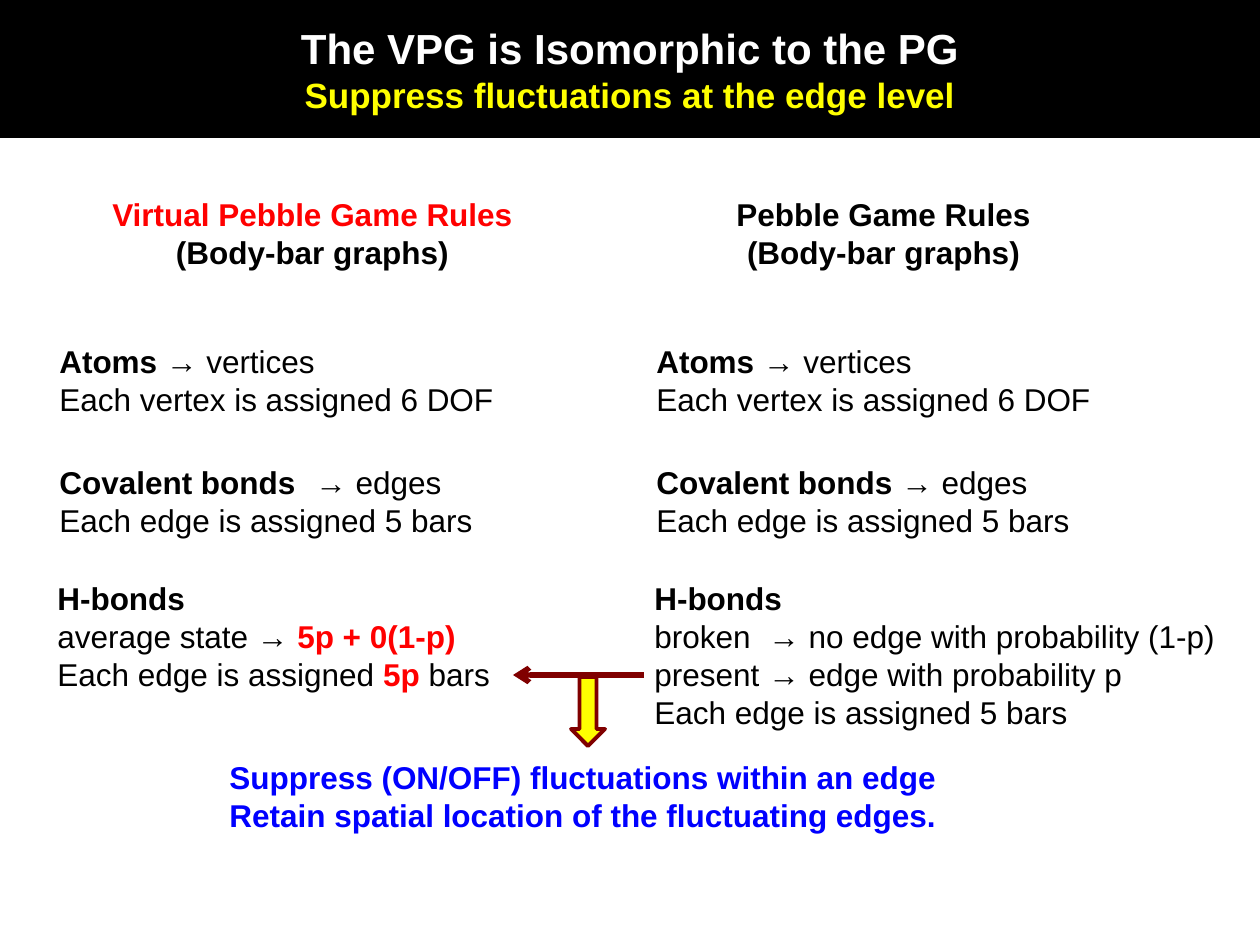
from dataclasses import dataclass

import pptx
import pptx.dml.color
import pptx.enum.shapes
import pptx.enum.text
import pptx.oxml.ns
import pptx.util
from lxml import etree

EMU_PER_PX = 914400 / 126
ALIGN = pptx.enum.text.PP_ALIGN


@dataclass(frozen=True)
class Theme:
    font: str = "Arial"
    title_size: int = 24
    subtitle_size: int = 20
    body_size: int = 18
    black: str = "000000"
    white: str = "FFFFFF"
    yellow: str = "FFFF00"
    red: str = "FF0000"
    blue: str = "0000FF"
    maroon: str = "800000"


THEME = Theme()


def px(length):
    return pptx.util.Emu(round(length * EMU_PER_PX))


def rgb(value):
    return pptx.dml.color.RGBColor.from_string(value)


def styled(text, *, bold=False, color=THEME.black, size=THEME.body_size):
    """Describe one run of text and its format."""
    return {"text": text, "bold": bold, "color": color, "size": size}


def add_child(parent, tag, **attributes):
    return etree.SubElement(parent, pptx.oxml.ns.qn(tag), **attributes)


class SlideBuilder:
    """Holds the theme and the current slide."""

    def __init__(self, slide, theme):
        self.slide = slide
        self.theme = theme

    def fill_frame(self, frame, lines, align=ALIGN.LEFT, tab=None):
        """Fill a text frame; each line is a list of styled runs."""
        frame.word_wrap = True
        frame.auto_size = pptx.enum.text.MSO_AUTO_SIZE.NONE
        for index, line in enumerate(lines):
            paragraph = frame.add_paragraph() if index else frame.paragraphs[0]
            paragraph.alignment = align
            if tab:
                tabs = add_child(paragraph._p.get_or_add_pPr(), "a:tabLst")
                add_child(tabs, "a:tab", pos=str(px(tab)), algn="l")
            for part in line:
                run = paragraph.add_run()
                run.text = part["text"]
                run.font.name = self.theme.font
                run.font.size = pptx.util.Pt(part["size"])
                run.font.bold = part["bold"]
                run.font.color.rgb = rgb(part["color"])

    def title(self, left, top, width, height, lines):
        title = self.slide.shapes.title
        title.left, title.top = px(left), px(top)
        title.width, title.height = px(width), px(height)
        title.fill.solid()
        title.fill.fore_color.rgb = rgb(self.theme.black)
        title.text_frame.vertical_anchor = pptx.enum.text.MSO_ANCHOR.MIDDLE
        self.fill_frame(title.text_frame, lines, ALIGN.CENTER)

    def text(self, left, top, width, height, lines, **layout):
        box = self.slide.shapes.add_textbox(px(left), px(top), px(width), px(height))
        self.fill_frame(box.text_frame, lines, **layout)

    def arrow(self, start, end):
        line = self.slide.shapes.add_connector(
            pptx.enum.shapes.MSO_CONNECTOR.STRAIGHT, *map(px, (*start, *end)))
        line.line.color.rgb = rgb(self.theme.maroon)
        line.line.width = pptx.util.Pt(3)
        add_child(line.line._get_or_add_ln(), "a:tailEnd", type="arrow")
        add_child(line._element.spPr, "a:effectLst")

    def down_arrow(self, left, top, width, height):
        shape = self.slide.shapes.add_shape(
            pptx.enum.shapes.MSO_SHAPE.DOWN_ARROW,
            px(left), px(top), px(width), px(height))
        shape.shadow.inherit = False
        shape.fill.solid()
        shape.fill.fore_color.rgb = rgb(self.theme.yellow)
        shape.line.color.rgb = rgb(self.theme.maroon)
        shape.line.width = pptx.util.Pt(2.25)


def add_rules(builder, left, heading, heading_left, heading_width, heading_color,
              edge_gap, edge_tab):
    """Add the heading and the atom and covalent bond rules of one column."""
    builder.text(heading_left, 189, heading_width, 89, [
        [styled(heading, bold=True, color=heading_color)],
        [styled("(Body-bar graphs)", bold=True)],
    ], align=ALIGN.CENTER)
    builder.text(left, 336, 466, 89, [
        [styled("Atoms ", bold=True), styled("→ vertices")],
        [styled("Each vertex is assigned 6 DOF")],
    ])
    builder.text(left, 457, 442, 89, [
        [styled("Covalent bonds" + edge_gap, bold=True), styled("→ edges")],
        [styled("Each edge is assigned 5 bars")],
    ], tab=edge_tab)


def main():
    presentation = pptx.Presentation()
    presentation.slide_width, presentation.slide_height = px(1260), px(945)
    slide = presentation.slides.add_slide(presentation.slide_layouts[5])
    builder = SlideBuilder(slide, THEME)

    builder.title(0, 0, 1260, 138, [
        [styled("The VPG is Isomorphic to the PG", bold=True,
                color=THEME.white, size=THEME.title_size)],
        [styled("Suppress fluctuations at the edge level", bold=True,
                color=THEME.yellow, size=THEME.subtitle_size)],
    ])

    add_rules(builder, 644, "Pebble Game Rules", 722, 323, THEME.black, " ", None)
    builder.text(642, 573, 591, 165, [
        [styled("H-bonds", bold=True)],
        [styled("broken\t→ no edge with probability (1-p)")],
        [styled("present\t→ edge with probability p")],
        [styled("Each edge is assigned 5 bars")],
    ], tab=114)

    add_rules(builder, 47, "Virtual Pebble Game Rules", 97, 431, THEME.red, "\t", 256)
    builder.text(45, 573, 462, 127, [
        [styled("H-bonds", bold=True)],
        [styled("average state → "),
         styled("5p + 0(1-p)", bold=True, color=THEME.red)],
        [styled("Each edge is assigned "),
         styled("5p", bold=True, color=THEME.red), styled(" bars")],
    ])

    builder.arrow((644, 675), (513, 675))
    builder.down_arrow(571, 677, 34, 69)
    conclusions = ("Suppress (ON/OFF) fluctuations within an edge",
                   "Retain spatial location of the fluctuating edges.")
    builder.text(217, 752, 740, 89, [
        [styled(line, bold=True, color=THEME.blue)] for line in conclusions])

    presentation.save("out.pptx")


if __name__ == "__main__":
    main()
